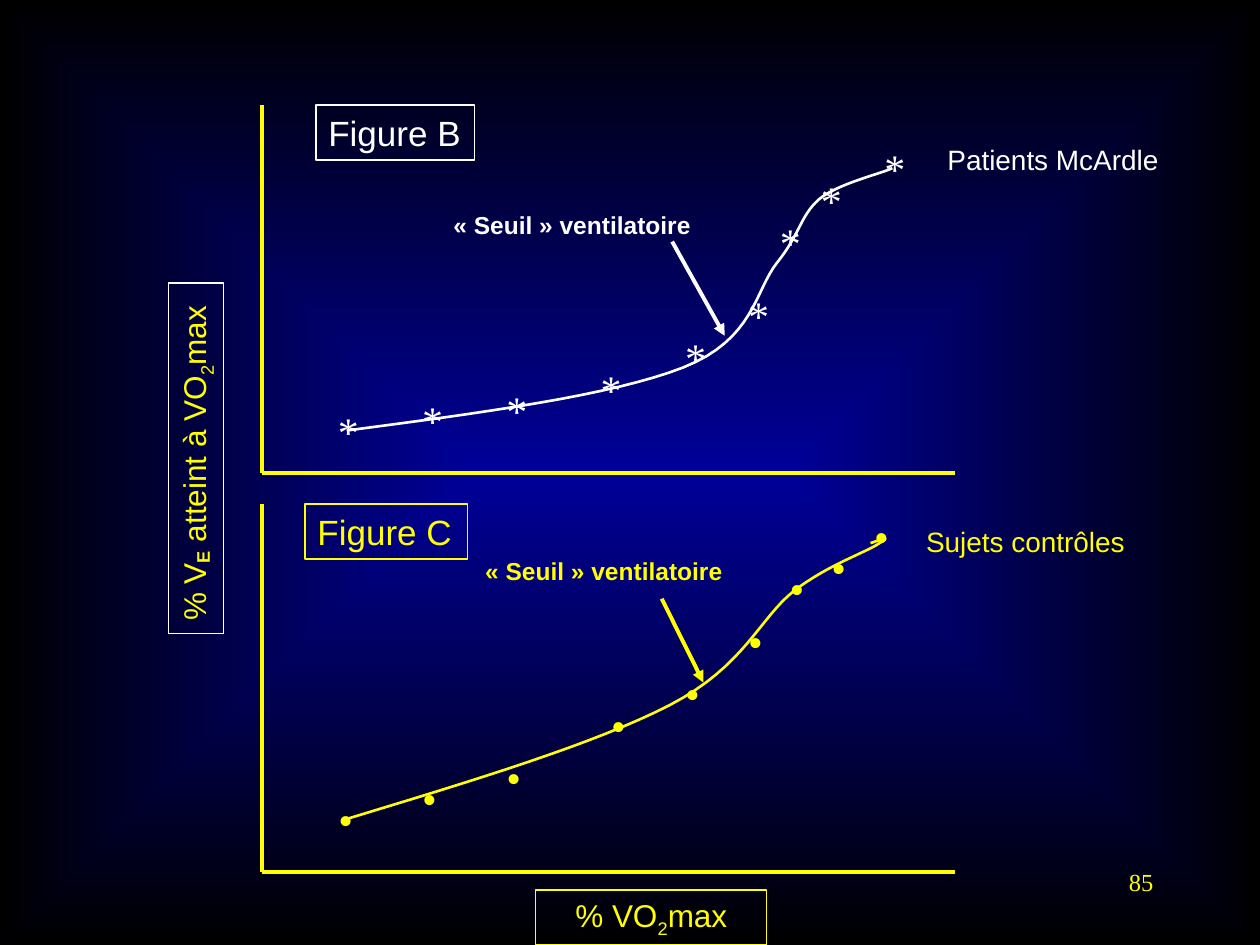
"""Build the slide comparing ventilation curves of McArdle patients and controls."""
from lxml import etree
from pptx import Presentation
from pptx import util as u
from pptx.dml.color import RGBColor
from pptx.enum import shapes, text
from pptx.oxml import ns

YELLOW = RGBColor(0xFF, 0xFF, 0x00)
WHITE = RGBColor(0xFF, 0xFF, 0xFF)
BLUE = RGBColor(0x00, 0x00, 0x99)
BLACK = RGBColor(0x00, 0x00, 0x00)

presentation = Presentation()
presentation.slide_width = u.Cm(25.4)
presentation.slide_height = u.Cm(19.05)
slide = presentation.slides.add_slide(presentation.slide_layouts[6])

background = slide.background.fill
background.gradient()
for stop, color, position in zip(background.gradient_stops, (BLUE, BLACK), (0, 1)):
    stop.color.rgb = color
    stop.position = position
gradient = slide._element.find(".//" + ns.qn("a:gradFill"))
gradient.remove(gradient.find(ns.qn("a:lin")))
gradient_shape = etree.SubElement(gradient, ns.qn("a:path"), path="rect")
etree.SubElement(gradient_shape, ns.qn("a:fillToRect"), l="50000", t="50000", r="50000", b="50000")


def add_text(box, runs, size, color, font="Arial", bold=False, wrap=False, border=None, fit=True):
    lengths = [u.Cm(length) for length in box]
    if border is None:
        shape = slide.shapes.add_textbox(*lengths)
    else:
        shape = slide.shapes.add_shape(shapes.MSO_SHAPE.RECTANGLE, *lengths)
        shape.shadow.inherit = False
        shape.fill.background()
        shape.line.color.rgb = border
        shape.line.width = u.Pt(0.75)
    frame = shape.text_frame
    frame.word_wrap = wrap
    frame.vertical_anchor = text.MSO_ANCHOR.TOP
    if fit:
        frame.auto_size = text.MSO_AUTO_SIZE.SHAPE_TO_FIT_TEXT
    paragraph = frame.paragraphs[0]
    paragraph.alignment = text.PP_ALIGN.LEFT
    for content, baseline in runs:
        run = paragraph.add_run()
        run.text = content
        run.font.name = font
        run.font.size = u.Pt(size)
        run.font.bold = bold
        run.font.color.rgb = color
        if baseline:
            run.font._element.set("baseline", str(baseline * 1000))
    return shape


def add_line(start, end, color, arrow=False):
    connector = slide.shapes.add_connector(
        shapes.MSO_CONNECTOR.STRAIGHT, *[u.Cm(length) for length in (*start, *end)])
    connector.line.color.rgb = color
    connector.line.width = u.Pt(2.25)
    if arrow:
        etree.SubElement(connector.line._get_or_add_ln(), ns.qn("a:tailEnd"), type="triangle")
    etree.SubElement(connector._element.spPr, ns.qn("a:effectLst"))


page_number = add_text((18.21, 17.35, 5.29, 1.27), [("85", 0)], 14, YELLOW,
                       font="Times New Roman", wrap=True, fit=False)
page_number.text_frame.paragraphs[0].alignment = text.PP_ALIGN.RIGHT

figures = [
    {
        "color": WHITE, "axis_top": 2.12, "marker": "*", "marker_width": 0.91,
        "curve": [(6.99, 8.68), (9.65, 8.33), (12.32, 7.98), (13.77, 7.41),
                  (15.21, 6.84), (15.21, 5.87), (15.67, 5.29),
                  (16.13, 4.72), (16.13, 4.36), (16.51, 4.02),
                  (16.89, 3.7), (17.75, 3.51), (17.99, 3.39)],
        "markers": [(6.56, 8.04), (8.26, 7.83), (9.96, 7.62), (11.86, 7.2), (13.56, 6.56),
                    (14.83, 5.71), (15.47, 4.23), (16.3, 3.39), (17.58, 2.75)],
        "title": ("Figure B", (6.37, 2.12, 3.2, 1.11)),
        "series": ("Patients McArdle", (18.85, 2.75, 4.9, 0.93)),
        "threshold": (8.89, 4.11, 5.29, 0.86),
        "arrow": ((13.55, 4.87), (14.61, 6.77)),
    },
    {
        "color": YELLOW, "axis_top": 10.16, "marker": "•", "marker_width": 0.79,
        "curve": [(6.99, 16.51), (9.5, 15.75), (12.01, 14.99), (13.51, 14.21),
                  (15.01, 13.43), (15.32, 12.45), (16.01, 11.91),
                  (16.7, 11.38), (17.48, 11.13), (17.73, 10.95),
                  (17.98, 10.8), (17.78, 10.87), (17.55, 10.95)],
        "markers": [(6.57, 15.88), (8.26, 15.45), (9.96, 15.03), (12.07, 13.97), (13.56, 13.34),
                    (14.83, 12.28), (15.67, 11.22), (16.51, 10.8), (17.37, 10.16)],
        "title": ("Figure C", (6.15, 10.16, 3.28, 1.11)),
        "series": ("Sujets contrôles", (18.42, 10.44, 4.7, 0.93)),
        "threshold": (9.53, 11.09, 5.29, 0.86),
        "arrow": ((13.34, 12.07), (14.18, 13.76)),
    },
]

AXIS_LEFT, AXIS_RIGHT, AXIS_HEIGHT = 5.29, 19.26, 7.41
CURVE_STEPS = 16

for figure in figures:
    color = figure["color"]
    origin = (AXIS_LEFT, figure["axis_top"] + AXIS_HEIGHT)
    add_line((AXIS_LEFT, figure["axis_top"]), origin, YELLOW)
    add_line(origin, (AXIS_RIGHT, origin[1]), YELLOW)

    controls = figure["curve"]
    points = []
    for first in range(0, len(controls) - 1, 3):
        segment = controls[first:first + 4]
        for step in range(1, CURVE_STEPS + 1):
            t = step / CURVE_STEPS
            weights = ((1 - t) ** 3, 3 * t * (1 - t) ** 2, 3 * t ** 2 * (1 - t), t ** 3)
            points.append([u.Cm(sum(weight * point[axis] for weight, point in zip(weights, segment)))
                           for axis in (0, 1)])
    builder = slide.shapes.build_freeform(*[u.Cm(length) for length in controls[0]])
    builder.add_line_segments(points, close=False)
    curve = builder.convert_to_shape()
    curve.shadow.inherit = False
    curve.fill.background()
    curve.line.color.rgb = color
    curve.line.width = u.Pt(1.5)

    for left, top in figure["markers"]:
        add_text((left, top, figure["marker_width"], 1.27), [(figure["marker"], 0)], 24, color,
                 font="Times New Roman")

    series, series_box = figure["series"]
    add_text(series_box, [(series, 0)], 16, color)
    add_line(*figure["arrow"], color, arrow=True)
    add_text(figure["threshold"], [("« Seuil » ventilatoire", 0)], 14, color, bold=True)
    title, title_box = figure["title"]
    add_text(title_box, [(title, 0)], 20, color, border=color)

vertical_label = add_text(
    (0.42, 8.68, 7.06, 1.11),
    [("% V", 0), ("E", -12), (" atteint à VO", 0), ("2", -25), ("max", 0)],
    18, YELLOW, wrap=True, border=WHITE)
vertical_label.rotation = 270
vertical_label.text_frame.paragraphs[0].runs[1].font.bold = True

horizontal_label = add_text(
    (10.8, 17.94, 4.66, 1.11), [("% VO", 0), ("2", -25), ("max", 0)],
    18, YELLOW, wrap=True, border=YELLOW)
horizontal_label.text_frame.paragraphs[0].alignment = text.PP_ALIGN.CENTER

presentation.save("out.pptx")
